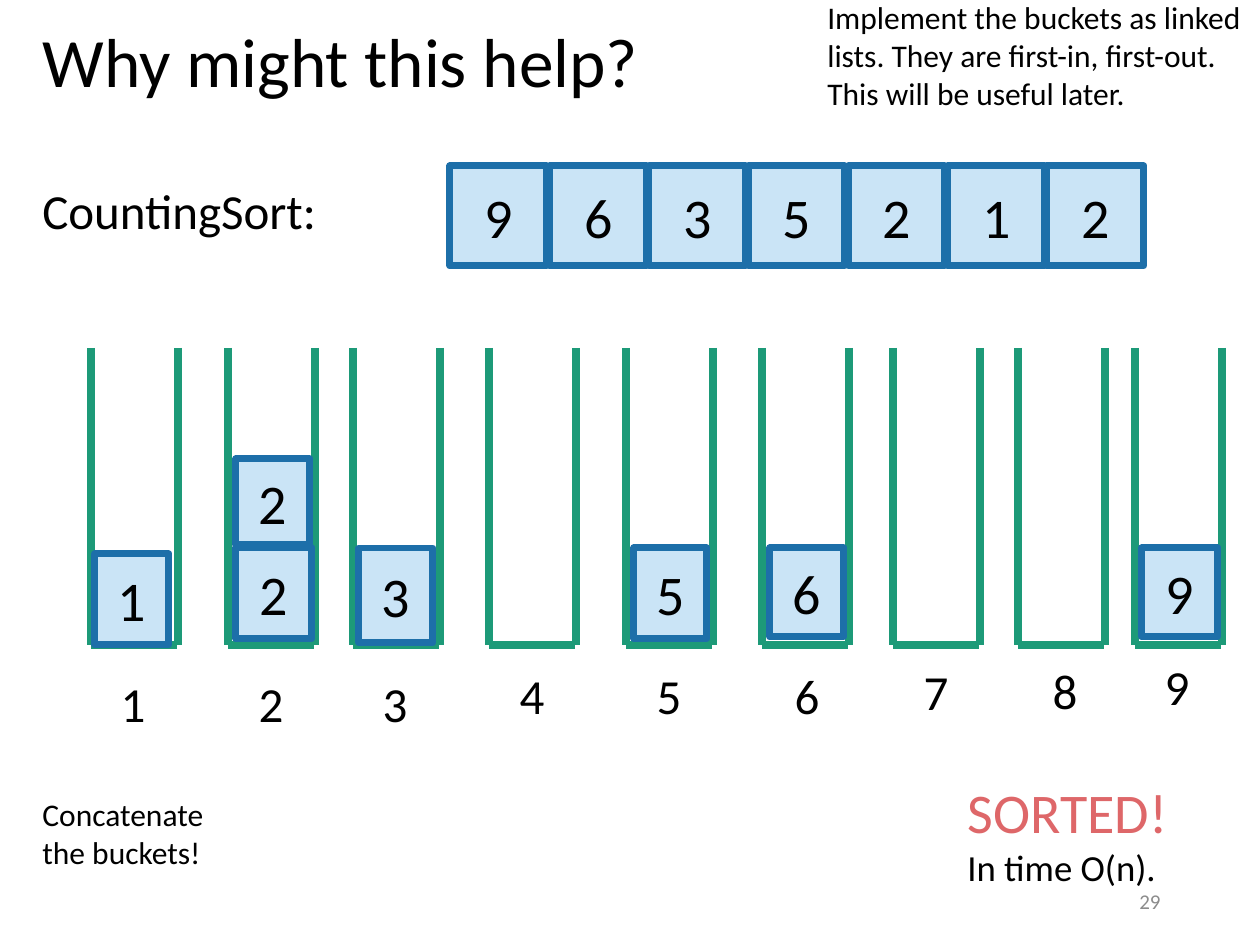
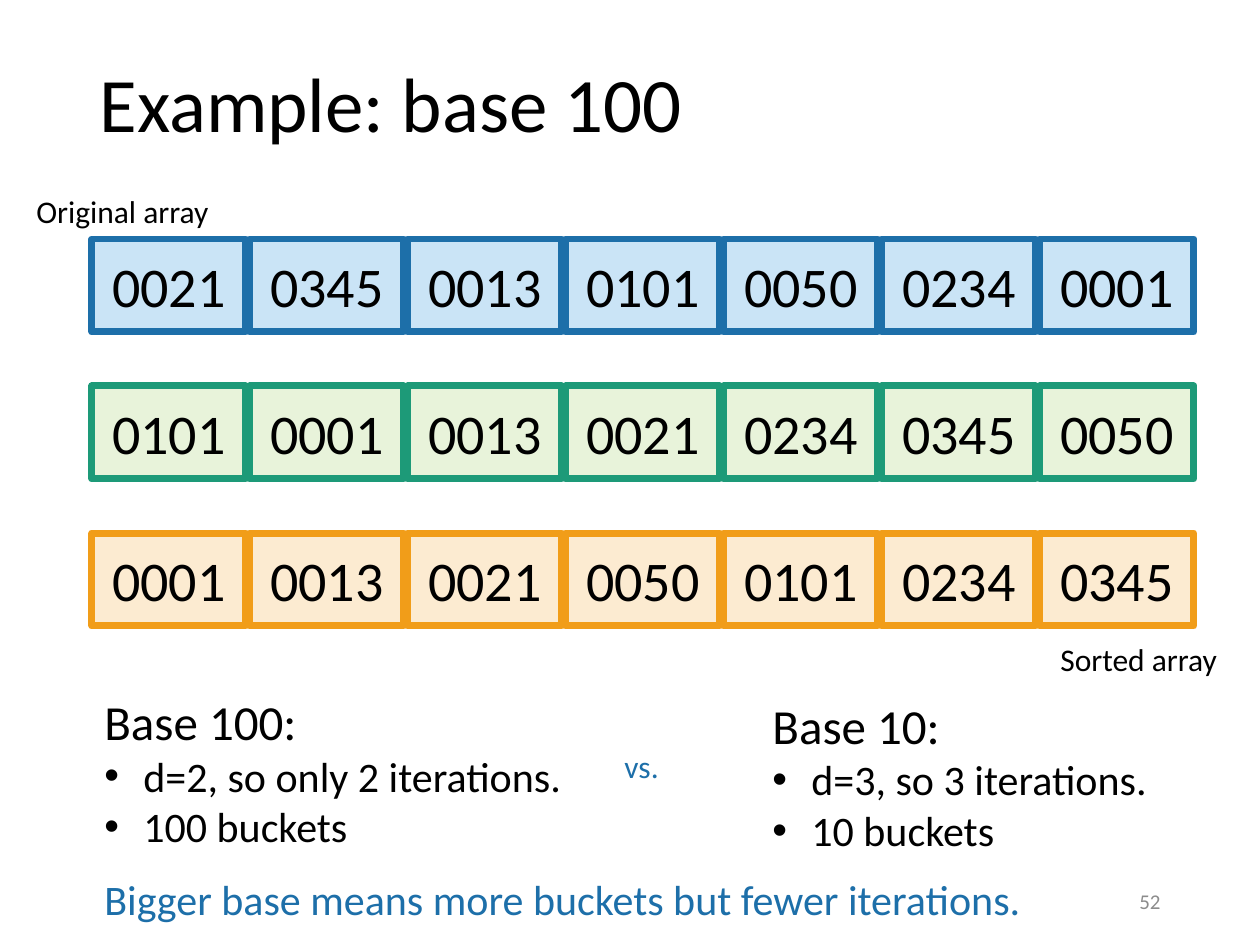
from lxml.etree import SubElement
from pptx import Presentation
from pptx.dml.color import RGBColor as RGB
from pptx.enum.shapes import MSO_CONNECTOR as Link, MSO_SHAPE as Kind
from pptx.enum.text import MSO_ANCHOR as Anchor, MSO_AUTO_SIZE as Fit, PP_ALIGN as Align
from pptx.oxml.ns import qn
from pptx.util import Pt

SCALE = 914400 / 126  # EMU in one px
FONT = "Calibri"
HEX = {
    "ink": "000000", "grey": "8C8C8C", "red": "DE6769",
    "blue": "1D6FA9", "sky": "CAE4F6",
    "green": "1D9A78", "mint": "E8F3DA",
    "gold": "F19D19", "cream": "FCEBD1",
}

# Bucket left, label left, label top, tiles as (left, top, width, height)
BUCKETS = [
    (91, 108, 667, [(95, 554, 74, 91)]),
    (228, 246, 667, [(236, 548, 76, 91), (236, 459, 74, 86)]),
    (353, 370, 667, [(359, 548, 74, 95)]),
    (489, 507, 659, []),
    (626, 644, 659, [(634, 548, 73, 91)]),
    (762, 782, 659, [(770, 548, 74, 89)]),
    (893, 911, 655, []),
    (1018, 1040, 654, []),
    (1135, 1152, 650, [(1142, 548, 76, 89)]),
]


def px(*sizes):
    return [round(size * SCALE) for size in sizes]


def tint(name):
    return RGB.from_string(HEX[name])


def style(item, **values):
    for name, value in values.items():
        setattr(item, name, value)


def write(para, text, size, color="ink"):
    run = para.add_run()
    run.text = text
    style(run.font, name=FONT, size=Pt(size))
    run.font.color.rgb = tint(color)


def add_title(slide, text, box, size):
    title = slide.shapes.title
    left, top, width, height = px(*box)
    style(title, left=left, top=top, width=width, height=height)
    style(title.text_frame, vertical_anchor=Anchor.MIDDLE, word_wrap=True,
          auto_size=Fit.NONE)
    para = title.text_frame.paragraphs[0]
    style(para, alignment=Align.LEFT, line_spacing=0.9)
    write(para, text, size)


def add_text(slide, box, *lines, align=Align.LEFT, wrap=True, **frame):
    """Each line is (text, size) or (text, size, color)."""
    area = slide.shapes.add_textbox(*px(*box)).text_frame
    style(area, word_wrap=wrap, **frame)
    for i, line in enumerate(lines):
        para = area.add_paragraph() if i else area.paragraphs[0]
        para.alignment = align
        write(para, *line)
    return area


def add_page(slide, number):
    add_text(slide, (889, 876, 284, 50), (number, 12, "grey"),
             align=Align.RIGHT, vertical_anchor=Anchor.MIDDLE)


def add_tile(slide, text, box, fill="sky", edge="blue"):
    tile = slide.shapes.add_shape(Kind.RECTANGLE, *px(*box))
    tile.shadow.inherit = False
    tile.fill.solid()
    tile.fill.fore_color.rgb = tint(fill)
    tile.line.color.rgb = tint(edge)
    tile.line.width = Pt(4)
    tile.text_frame.vertical_anchor = Anchor.MIDDLE
    para = tile.text_frame.paragraphs[0]
    para.alignment = Align.CENTER
    write(para, text, 32)


def add_row(slide, values, first, last, top, size, *colors):
    step = (last - first) / (len(values) - 1)
    for i, value in enumerate(values):
        add_tile(slide, value, (round(first + i * step), top, *size), *colors)


def add_line(slide, *ends):
    line = slide.shapes.add_connector(Link.STRAIGHT, *px(*ends))
    line.line.color.rgb = tint("green")
    line.line.width = Pt(5)
    SubElement(line._element.spPr, qn("a:effectLst"))


def add_bucket(slide, left, top=348, base=645, width=87):
    right = left + width
    add_line(slide, left, top, left, base)
    add_line(slide, right, top, right, base)
    add_line(slide, right - 1, base, left, base)


def add_list(slide, box, head, *points):
    area = add_text(slide, box, (head, 28), *[(point, 24) for point in points],
                    auto_size=Fit.SHAPE_TO_FIT_TEXT)
    indent, = px(39)
    for para in area.paragraphs[1:]:
        props = para._p.get_or_add_pPr()
        props.set("marL", str(indent))
        props.set("indent", str(-indent))
        SubElement(props, qn("a:buFont"), typeface="Arial")
        SubElement(props, qn("a:buChar"), char="•")


def count_slide(slide):
    add_title(slide, "Why might this help?", (30, 18, 1086, 94), 39.6)
    label = add_text(slide, (30, 181, 339, 71), ("CountingSort:", 28))
    label.paragraphs[0].line_spacing = 0.9
    add_row(slide, "9635212", 450, 1047, 166, (97, 100))

    # Buckets and their labels, then the tiles on top
    for number, (left, x, y, _) in enumerate(BUCKETS, 1):
        add_bucket(slide, left)
        add_text(slide, (x, y, 50, 72), (str(number), 28),
                 align=Align.CENTER, wrap=False)
    for number, (*_, tiles) in enumerate(BUCKETS, 1):
        for box in tiles:
            add_tile(slide, str(number), box)

    # Remarks
    add_text(slide, (955, 771, 263, 125), ("SORTED!", 32, "red"), ("In time O(n).", 21))
    add_text(slide, (815, -8, 452, 127),
             ("Implement the buckets as linked lists. They are first-in, "
              "first-out. This will be useful later.", 18))
    add_text(slide, (30, 789, 209, 89), ("Concatenate the buckets!", 18))
    add_page(slide, "29")


def base_slide(slide):
    add_title(slide, "Example: base 100", (87, 50, 1086, 115), 44)

    # The array after each pass
    passes = [
        ("0021 0345 0013 0101 0050 0234 0001", "sky", "blue"),
        ("0101 0001 0013 0021 0234 0345 0050", "mint", "green"),
        ("0001 0013 0021 0050 0101 0234 0345", "cream", "gold"),
    ]
    for i, (values, fill, edge) in enumerate(passes):
        add_row(slide, values.split(), 92, 1040, 239 + 147 * i, (154, 93), fill, edge)
    add_text(slide, (24, 186, 280, 50), ("Original array", 18))
    add_text(slide, (1048, 634, 212, 50), ("Sorted array", 18))

    # Comparison
    add_list(slide, (92, 685, 577, 174), "Base 100:",
             "d=2, so only 2 iterations.", "100 buckets")
    add_list(slide, (760, 689, 437, 174), "Base 10:",
             "d=3, so 3 iterations.", "10 buckets")
    add_text(slide, (612, 741, 83, 50), ("vs.", 18, "blue"))
    add_text(slide, (92, 867, 1096, 63),
             ("Bigger base means more buckets but fewer iterations.", 24, "blue"))
    add_page(slide, "52")


def main():
    deck = Presentation()
    deck.slide_width, deck.slide_height = px(1260, 945)
    for build in (count_slide, base_slide):
        build(deck.slides.add_slide(deck.slide_layouts[5]))
    deck.save("out.pptx")


if __name__ == "__main__":
    main()
